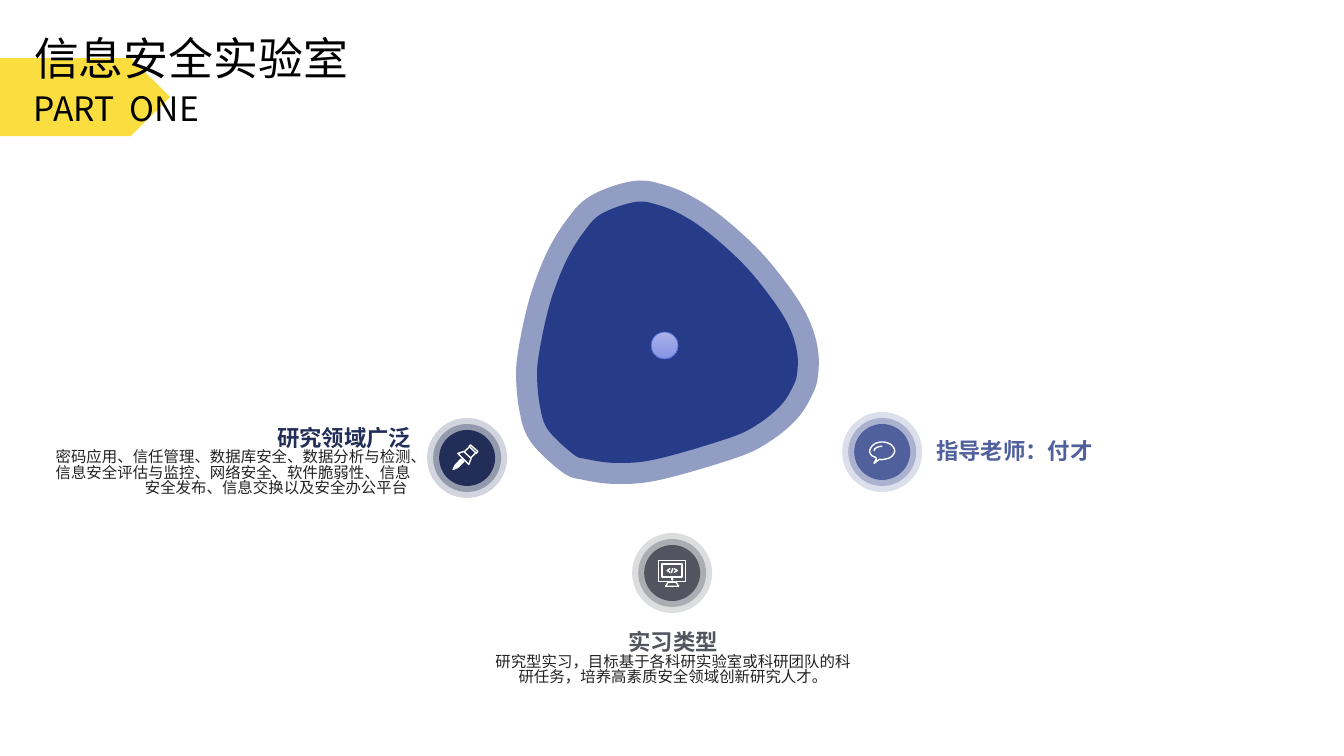
from lxml import etree
from pptx import Presentation, util as u
from pptx.dml.color import RGBColor
from pptx.enum import shapes, text
from pptx.oxml.ns import qn

PX = 914400 / 100.8
FONT = "Noto Sans CJK SC"
WHITE, NAVY, BODY_COLOR = "FFFFFF", "263C88", "232222"
LINE_SPACING = 0.83

HEADINGS = [("信息安全实验室", 32, (24, 26, 368, 70)),
            ("PART  ONE", 24, (24, 83, 243, 52))]
BANNER = (0, 58, 170, 78)
DOT = (651, 332, 27, 27)
DOT_STOPS = ["A8B1E8", "8795E3"]

TOPICS = [
    ("研究领域广泛", "密码应用、信任管理、数据库安全、数据分析与检测、信息安全评估与监控、"
     "网络安全、软件脆弱性、信息安全发布、信息交换以及安全办公平台 ",
     "222E57", (53, 421, 358, 83), "RIGHT"),
    ("实习类型", "研究型实习，目标基于各科研实验室或科研团队的科研任务，"
     "培养高素质安全领域创新研究人才。",
     "52555F", (492, 627, 362, 65), "CENTER"),
    ("指导老师：付才", "", "4F609C", (936, 430, 355, 45), "LEFT"),
]

RINGS = [(80, 20), (68, 35), (56, 100)]

PIN = [
    ([(35, -130), (107, -65), (92, -45), (20, -118)], "closed"),
    ([(22, -110), (-28, -62)], "open"),
    ([(85, -50), (35, 0)], "open"),
    ([(-33, -65), (-93, -45), (17, 65), (40, 5)], "closed"),
    ([(-60, 10), (-118, 72), (-140, 115), (-95, 95), (-33, 35)], "solid"),
]
MONITOR = [
    ([(-135, -126), (135, -126), (135, 86), (-135, 86)], "closed"),
    ([(-100, -90), (100, -90), (100, 40), (-100, 40)], "closed"),
    ([(-40, 92), (-65, 132), (65, 132), (40, 92)], "closed"),
    ([(0, 55), (7, 62), (0, 69), (-7, 62)], "closed"),
    ([(-18, -45), (-50, -25), (-18, -5)], "open"),
    ([(18, -45), (50, -25), (18, -5)], "open"),
    ([(6, -48), (-8, 2)], "open"),
]
BUBBLE = [
    ([(0, -100), (85, -75), (125, -12), (85, 52), (0, 77), (-30, 75), (-80, 112),
      (-60, 62), (-105, 35), (-125, -12), (-85, -75)], "smooth"),
    ([(-82, -12), (-74, -31), (-55, -45), (-30, -54), (0, -58)], "open"),
]
BADGES = [((467, 458), "222E57", PIN), ((672, 573), "52555F", MONITOR),
          ((882, 452), "4F609C", BUBBLE)]

PEBBLE = [(586, 459), (573, 454), (548, 430), (540, 407), (537, 377), (539, 353),
          (547, 314), (556, 285), (568, 257), (583, 233), (601, 214), (635, 202),
          (658, 205), (682, 215), (710, 234), (745, 266), (774, 302), (790, 329),
          (797, 353), (797, 373), (793, 386), (781, 405), (758, 424), (729, 438),
          (657, 459), (617, 463)]


def emu(lengths):
    return [round(length * PX) for length in lengths]


def paint(fill, color, opacity=100):
    fill.solid()
    fill.fore_color.rgb = RGBColor.from_string(color)
    if opacity < 100:
        tone = fill._xPr.find(".//" + qn("a:srgbClr"))
        etree.SubElement(tone, qn("a:alpha"), val=str(opacity * 1000))


def preset(parent, kind, box, color, opacity=100):
    shape = parent.add_shape(kind, *emu(box))
    shape.shadow.inherit = False
    paint(shape.fill, color, opacity)
    shape.line.fill.background()
    return shape


def smooth_loop(points, steps=8):
    curve = []
    for i in range(len(points)):
        quad = [points[(i + k) % len(points)] for k in (-1, 0, 1, 2)]
        for step in range(steps):
            t = step / steps
            curve.append(tuple(
                b + t * ((c - a) + t * ((2 * a - 5 * b + 4 * c - d)
                                        + t * (3 * b - a - 3 * c + d))) / 2
                for a, b, c, d in zip(*quad)))
    return curve


def outline(parent, points, closed):
    first, *rest = [emu(point) for point in points]
    builder = parent.build_freeform(*first, scale=1.0)
    builder.add_line_segments(rest, close=closed)
    shape = builder.convert_to_shape()
    shape.shadow.inherit = False
    return shape


def add_badge(parent, center, color, icon):
    cx, cy = center
    for size, opacity in RINGS:
        box = (cx - size // 2, cy - size // 2, size, size)
        preset(parent, shapes.MSO_SHAPE.OVAL, box, color, opacity)
    for points, style in icon:
        if style == "smooth":
            points = smooth_loop(points)
        placed = [(cx + x / 10, cy + y / 10) for x, y in points]
        stroke = outline(parent, placed, style != "open")
        if style == "solid":
            paint(stroke.fill, WHITE)
        else:
            stroke.fill.background()
        paint(stroke.line.fill, WHITE)
        stroke.line.width = u.Pt(1)


def style_run(run, size, color, bold=False):
    run.font.name, run.font.size, run.font.bold = FONT, u.Pt(size), bold
    run.font.color.rgb = RGBColor.from_string(color)
    etree.SubElement(run.font._element, qn("a:ea"), typeface=FONT)


def place(shape, box):
    shape.left, shape.top, shape.width, shape.height = emu(box)


def add_topic(parent, heading, body, color, box, side):
    topic = parent.add_textbox(*emu(box))
    frame = topic.text_frame
    frame.word_wrap = True
    frame.vertical_anchor = text.MSO_ANCHOR.MIDDLE
    frame.margin_left = frame.margin_right = frame.margin_top = frame.margin_bottom = 0
    paragraph = frame.paragraphs[0]
    paragraph.text = heading + ("\v" + body if body else "")
    paragraph.alignment = text.PP_ALIGN[side]
    paragraph.line_spacing = LINE_SPACING
    style_run(paragraph.runs[0], 16, color, True)
    for run in paragraph.runs[1:]:
        style_run(run, 11, BODY_COLOR)


def main():
    deck = Presentation()
    deck.slide_width, deck.slide_height = u.Inches(13.33), u.Inches(7.5)
    slide = deck.slides.add_slide(deck.slide_layouts[5])
    canvas = slide.shapes

    for badge in BADGES:
        add_badge(canvas.add_group_shape().shapes, *badge)
    for topic in TOPICS:
        add_topic(canvas, *topic)

    pebble = outline(canvas, smooth_loop(PEBBLE), True)
    paint(pebble.fill, NAVY)
    paint(pebble.line.fill, NAVY, 50)
    pebble.line.width = u.Pt(30)

    preset(canvas, shapes.MSO_SHAPE.PENTAGON, BANNER, "FADE40")
    title = canvas.title
    canvas._spTree.append(title._element)
    subtitle = canvas.add_textbox(0, 0, 0, 0)
    for holder, (words, size, box) in zip((title, subtitle), HEADINGS):
        place(holder, box)
        frame = holder.text_frame
        frame.text = words
        frame.word_wrap = True
        frame.auto_size = text.MSO_AUTO_SIZE.NONE
        frame.vertical_anchor = text.MSO_ANCHOR.TOP
        frame.paragraphs[0].alignment = text.PP_ALIGN.LEFT
        style_run(frame.paragraphs[0].runs[0], size, "000000")

    dot = preset(canvas, shapes.MSO_SHAPE.OVAL, DOT, NAVY)
    dot.fill.gradient()
    dot.fill.gradient_angle = 270
    for stop, color in zip(dot.fill.gradient_stops, DOT_STOPS):
        stop.color.rgb = RGBColor.from_string(color)
    paint(dot.line.fill, "4061D3")
    dot.line.width = u.Pt(0.5)
    deck.save("out.pptx")


if __name__ == "__main__":
    main()
